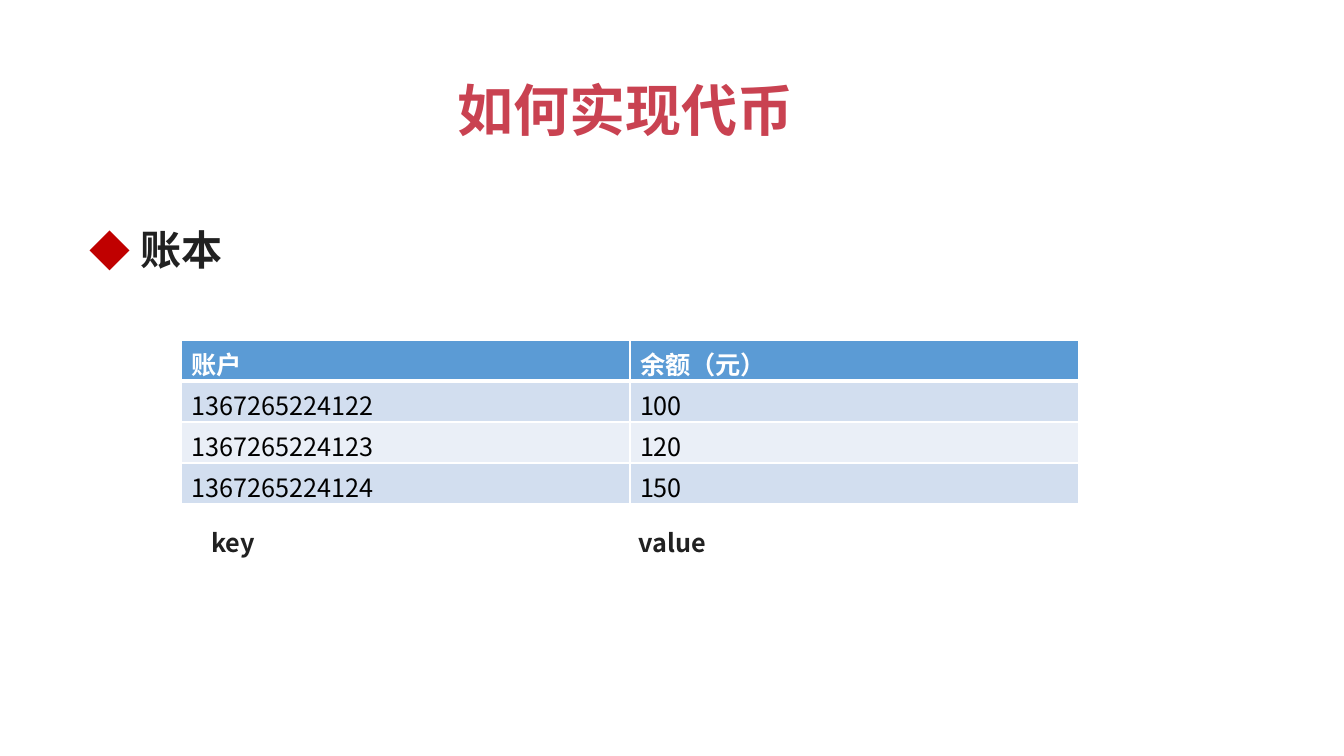
from pptx import Presentation
from pptx import util as u
from pptx.dml.color import RGBColor
from pptx.enum import text
from pptx.oxml.ns import qn
from lxml import etree

PX = 9525  # EMU, 96 px to the inch
FONT = "Noto Sans CJK SC"
INK, WHITE = "212121", "FFFFFF"
HEADER_FILL, BAND_FILLS = "5B9BD5", ("D2DEEF", "EAEFF7")
LEDGER = [
    ("账户", "余额（元）"),
    ("1367265224122", "100"),
    ("1367265224123", "120"),
    ("1367265224124", "150"),
]


def px(n):
    return u.Emu(n * PX)


def color(value):
    return RGBColor.from_string(value)


def add_run(p, words, size, ink, bold):
    r = p.add_run()
    r.text = words
    r.font.name = FONT
    r.font.size = u.Pt(size)
    r.font.bold = bold
    r.font.color.rgb = color(ink)
    etree.SubElement(r.font._element, qn("a:ea"), typeface=FONT)


def add_label(s, box, words, size, ink=INK, inset=None):
    """Add one bold line of text and return its paragraph."""
    tf = s.shapes.add_textbox(*map(px, box)).text_frame
    tf.word_wrap = False
    tf.auto_size = text.MSO_AUTO_SIZE.SHAPE_TO_FIT_TEXT
    if inset:
        tf.margin_left = tf.margin_right = px(inset[0])
        tf.margin_top = tf.margin_bottom = px(inset[1])
    p = tf.paragraphs[0]
    add_run(p, words, size, ink, True)
    return p


def add_bullet(p, mark, ink, indent):
    pPr = p._p.get_or_add_pPr()
    pPr.set("marL", str(px(indent)))
    pPr.set("indent", str(px(-indent)))
    clr = etree.SubElement(pPr, qn("a:buClr"))
    etree.SubElement(clr, qn("a:srgbClr"), val=ink)
    etree.SubElement(pPr, qn("a:buFont"), typeface=FONT)
    etree.SubElement(pPr, qn("a:buChar"), char=mark)


def add_borders(cell, **widths):
    """Draw white cell borders, given in points by side: L, R, T, B."""
    tcPr = cell._tc.get_or_add_tcPr()
    for side, width in widths.items():
        ln = etree.SubElement(tcPr, qn("a:ln" + side), w=str(u.Pt(width)))
        fill = etree.SubElement(ln, qn("a:solidFill"))
        etree.SubElement(fill, qn("a:srgbClr"), val=WHITE)


def add_ledger(s, box):
    rows, cols = len(LEDGER), len(LEDGER[0])
    table = s.shapes.add_table(rows, cols, *map(px, box)).table
    for i, row in enumerate(LEDGER):
        header = i == 0
        for j, words in enumerate(row):
            cell = table.cell(i, j)
            add_borders(cell, L=1, R=1, T=3 if i == 1 else 1, B=3 if header else 1)
            cell.fill.solid()
            cell.fill.fore_color.rgb = color(
                HEADER_FILL if header else BAND_FILLS[(i - 1) % 2])
            add_run(cell.text_frame.paragraphs[0], words, 18,
                    WHITE if header else "000000", header)


def build_ledger_slide(s):
    add_label(s, (424, 65, 349, 78), "如何实现代币", 40, "C94251", (12, 7))
    topic = add_label(s, (76, 209, 147, 57), "账本", 29.3)
    add_bullet(topic, "◆", "C00000", 48)
    left, top, width, height = 173, 324, 854, 156
    add_ledger(s, (left, top, width, height))
    caption_top = top + height + 17
    add_label(s, (left + 19, caption_top, 62, 38), "key", 18)
    add_label(s, (left + width // 2 - 1, caption_top, 84, 38), "value", 18)


def main():
    prs = Presentation()
    prs.slide_width, prs.slide_height = px(1280), px(720)
    build_ledger_slide(prs.slides.add_slide(prs.slide_layouts[6]))
    prs.save("out.pptx")


if __name__ == "__main__":
    main()
